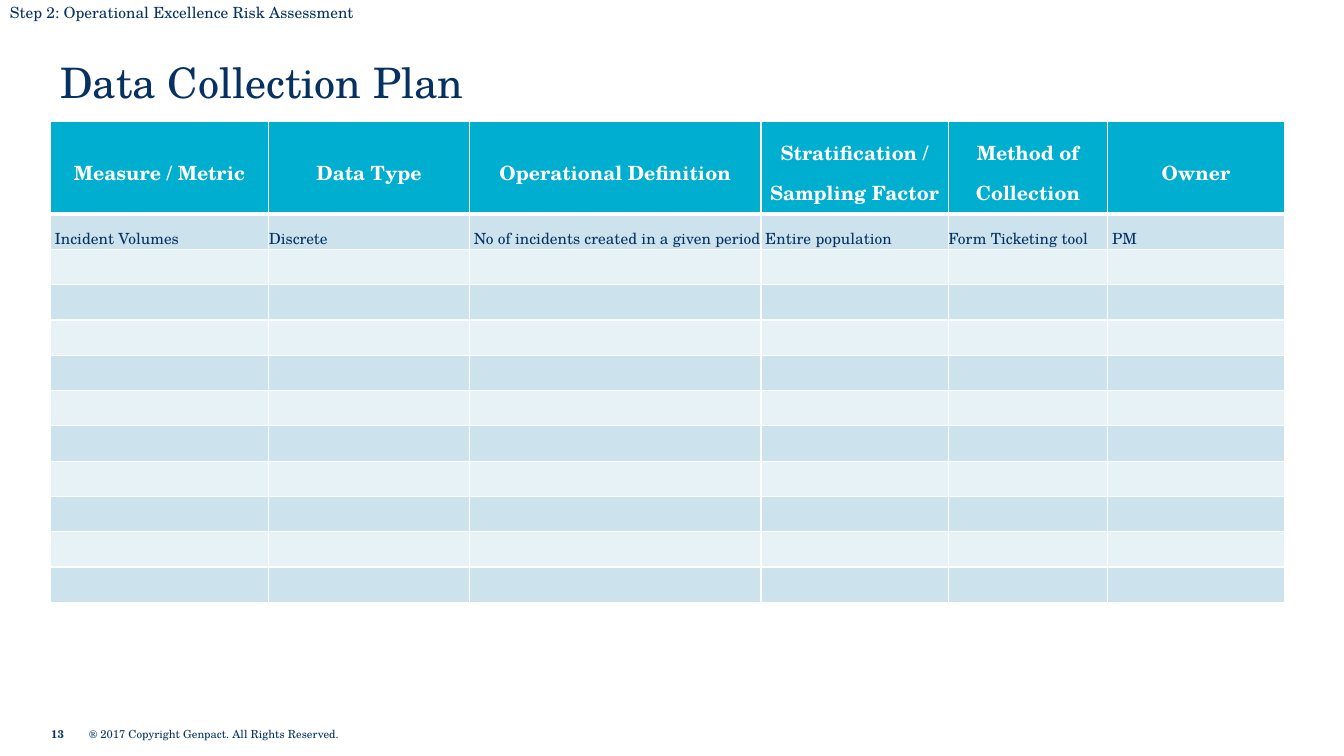
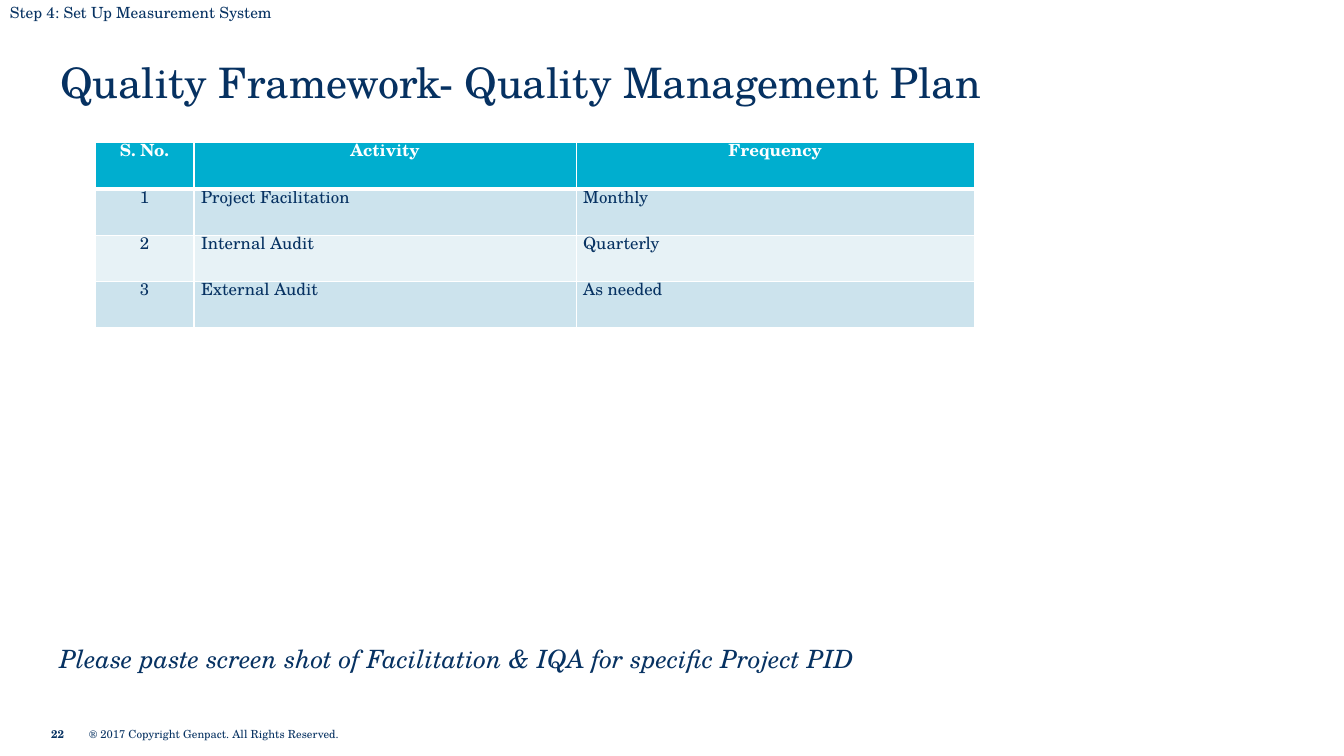
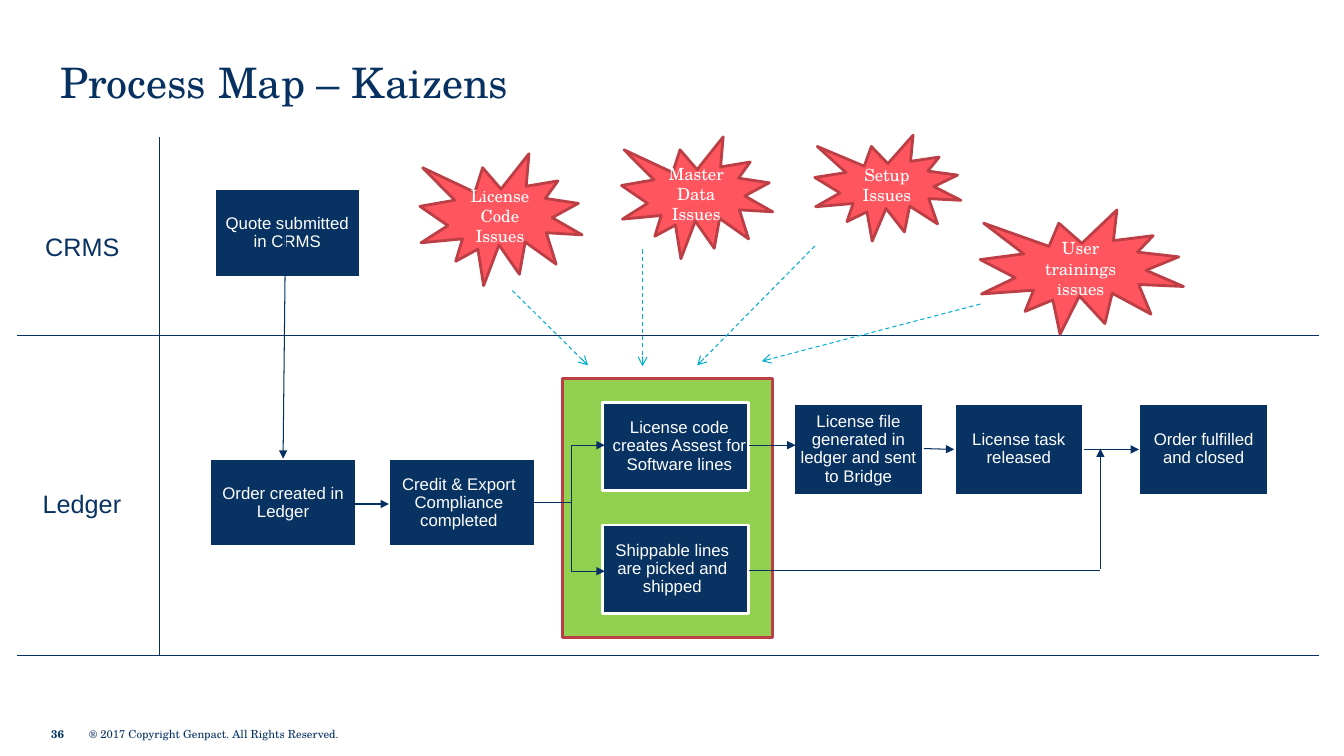
from pptx import Presentation
from pptx.dml.color import RGBColor
from pptx.enum.dml import MSO_LINE
from pptx.enum.shapes import MSO_CONNECTOR, MSO_SHAPE
from pptx.enum.text import MSO_ANCHOR, PP_ALIGN
from pptx.oxml.ns import qn
from pptx.util import Inches, Pt
from lxml.etree import SubElement

COLUMNS, ROWS = 160, 90
COLORS = {
    "title": "063161", "text": "073262", "line": "053162", "white": "FFFFFF",
    "accent": "00AECF", "band": "CCE3ED", "pale": "E7F2F6",
    "green": "92D050", "red": "FF555F", "dark red": "BD3F46",
}
SERIF, SANS = "TeX Gyre Schola", "Arial"
CENTER, LEFT = PP_ALIGN.CENTER, PP_ALIGN.LEFT
TOP, MIDDLE, BOTTOM = MSO_ANCHOR.TOP, MSO_ANCHOR.MIDDLE, MSO_ANCHOR.BOTTOM
SIDES = ("margin_left", "margin_top", "margin_right", "margin_bottom")


def color(name):
    """Return the named colour."""
    return RGBColor.from_string(COLORS[name])


def assign(target, values):
    """Set each named attribute of the target."""
    for name, value in values.items():
        setattr(target, name, value)


def margins(left, top, right, bottom):
    """Return the four margins, given in inches, as format values."""
    return dict(zip(SIDES, map(Inches, (left, top, right, bottom))))


class Deck:
    """Hold the presentation, its style and the current slide."""

    def __init__(self):
        """Create an empty widescreen presentation."""
        self.presentation = Presentation()
        assign(self.presentation, {"slide_width": Inches(40 / 3), "slide_height": Inches(7.5)})
        self.slide = None

    def x(self, columns):
        """Turn grid columns into a length."""
        return round(self.presentation.slide_width * columns / COLUMNS)

    def y(self, rows):
        """Turn grid rows into a length."""
        return round(self.presentation.slide_height * rows / ROWS)

    def area(self, left, top, width, height):
        """Turn a grid area into lengths."""
        return self.x(left), self.y(top), self.x(width), self.y(height)

    def fill_text(self, frame, text, size, ink="text", font=SERIF, layout=None, **emphasis):
        """Put one formatted paragraph into a text frame."""
        paragraph = frame.paragraphs[0]
        assign(paragraph, layout or {})
        run = paragraph.add_run()
        run.text = text
        assign(run.font, {"name": font, "size": Pt(size), **emphasis})
        run.font.color.rgb = color(ink)

    def text(self, area, text, size, frame=None, **style):
        """Add a text box."""
        box = self.slide.shapes.add_textbox(*self.area(*area))
        assign(box.text_frame, {"word_wrap": True, **(frame or {})})
        self.fill_text(box.text_frame, text, size, **style)

    def start(self, number, title, title_width=95, step=None):
        """Start a slide with its title, step label and footer."""
        self.slide = self.presentation.slides.add_slide(self.presentation.slide_layouts[6])
        footer = {"vertical_anchor": MIDDLE, **margins(0, 0, 0, 0)}
        self.text((6.1, 85.9, 4, 2.9), str(number), 8, footer, bold=True)
        self.text((10.6, 85.9, 31, 2.9), "® 2017 Copyright Genpact. All Rights Reserved.", 8, footer)
        self.text((6, 6.2, title_width, 7), title, 30, {"vertical_anchor": MIDDLE}, ink="title")
        if step:
            self.text((0, -0.2, 65.3, 3.5), step, 11)

    def shape(self, kind, area, fill, line):
        """Add a filled and outlined preset shape."""
        shape = self.slide.shapes.add_shape(kind, *self.area(*area))
        shape.shadow.inherit = False
        shape.fill.solid()
        shape.fill.fore_color.rgb = color(fill)
        shape.line.color.rgb = color(line)
        shape.line.width = Pt(2)
        return shape

    def node(self, area, text, shift=0):
        """Add a process step, its text shifted sideways by some inches."""
        frame = self.shape(MSO_SHAPE.RECTANGLE, area, "text", "white").text_frame
        inset = margins(0.05 + shift, 0.05, 0.05 - shift, 0.05)
        assign(frame, {"word_wrap": True, "vertical_anchor": MIDDLE, **inset})
        self.fill_text(frame, text, 12, "white", SANS, {"alignment": CENTER, "line_spacing": 0.9})

    def burst(self, area, text):
        """Add an issue burst."""
        frame = self.shape(MSO_SHAPE.EXPLOSION1, area, "red", "dark red").text_frame
        assign(frame, {"word_wrap": True, "vertical_anchor": MIDDLE})
        self.fill_text(frame, text, 12, "white", layout={"alignment": CENTER})

    def line(self, x1, y1, x2, y2, head=None, ink="line", dash=None):
        """Add a straight line, with an arrowhead if one is named."""
        ends = self.x(x1), self.y(y1), self.x(x2), self.y(y2)
        connector = self.slide.shapes.add_connector(MSO_CONNECTOR.STRAIGHT, *ends)
        connector.line.color.rgb = color(ink)
        assign(connector.line, {"width": Pt(0.75), "dash_style": dash})
        properties = connector._element.spPr
        if head:
            SubElement(properties.find(qn("a:ln")), qn("a:tailEnd"), type=head)
        SubElement(properties, qn("a:effectLst"))

    def border(self, cell, row):
        """Draw white cell borders, thicker below the header."""
        for side in ("L", "R", "T", "B"):
            thick = (row, side) in ((0, "B"), (1, "T"))
            line = SubElement(cell._tc.get_or_add_tcPr(), qn(f"a:ln{side}"), w=str(Pt(3 if thick else 1)))
            SubElement(SubElement(line, qn("a:solidFill")), qn("a:srgbClr"), val=COLORS["white"])

    def table(self, origin, widths, heights, rows, header, body, inset, centered=()):
        """Add a banded table, with size, anchor and spacing for header and body."""
        area = self.area(*origin, sum(widths), sum(heights))
        table = self.slide.shapes.add_table(len(heights), len(widths), *area).table
        for column, width in zip(table.columns, widths):
            column.width = self.x(width)
        for index, height in enumerate(heights):
            table.rows[index].height = self.y(height)
            size, anchor, spacing = body if index else header
            fill = ("pale", "band")[index % 2] if index else "accent"
            for position, cell in enumerate(table.rows[index].cells):
                assign(cell, {"vertical_anchor": anchor, **inset})
                self.border(cell, index)
                cell.fill.solid()
                cell.fill.fore_color.rgb = color(fill)
                if index < len(rows):
                    middle = index == 0 or position in centered
                    layout = {"alignment": CENTER if middle else LEFT, "line_spacing": spacing}
                    self.fill_text(cell.text_frame, rows[index][position], size,
                                   "text" if index else "white", layout=layout, bold=index == 0)


def collection_plan(deck):
    """Build the data collection plan."""
    deck.start(13, "Data Collection Plan", step="Step 2: Operational Excellence Risk Assessment")
    rows = [
        ("Measure / Metric", "Data Type", "Operational Definition",
         "Stratification / Sampling Factor", "Method of Collection", "Owner"),
        (" Incident Volumes", "Discrete", " No of incidents created in a given period",
         " Entire population", "Form Ticketing tool", " PM"),
    ]
    deck.table((6, 14.5), (26, 23.9, 34.7, 22.3, 19, 21), [11] + [4.2] * 11, rows,
               (14, MIDDLE, 1.3), (11, BOTTOM, 1.25), margins(0, 0, 0, 0))


def quality_plan(deck):
    """Build the quality management plan."""
    deck.start(22, "Quality Framework- Quality Management Plan", 117,
               "Step 4: Set Up Measurement System")
    deck.text((5.9, 76, 144, 4.8),
              "Please paste screen shot of Facilitation & IQA for specific Project PID", 18, italic=True)
    rows = [
        ("S. No.", "Activity", "Frequency"),
        ("1", "Project Facilitation", "Monthly"),
        ("2", "Internal Audit", "Quarterly"),
        ("3", "External Audit", "As needed"),
    ]
    style = (12, TOP, Pt(14))
    deck.table((11.3, 17), (11.8, 45.5, 47.4), [5.5] * 4, rows, style, style,
               margins(0.07, 0, 0.07, 0), centered=(0,))


def process_map(deck):
    """Build the process map with its issues."""
    deck.start(36, "Process Map – Kaizens")
    deck.shape(MSO_SHAPE.RECTANGLE, (67, 45.1, 25, 30.8), "green", "dark red")
    large, small = (17.4, 10.5), (15.4, 11)
    nodes = [
        (25.5, 22.5, large, "Quote submitted in CRMS", 0),
        (25, 54.6, large, "Order created in Ledger", 0),
        (46.3, 54.6, large, "Credit & Export Compliance completed", -0.03),
        (71.7, 47.9, large, "License code creates Assest for Software lines", 0.04),
        (71.7, 62.5, large, "Shippable lines are picked and shipped", -0.03),
        (94.5, 48, small, "License file generated in ledger and sent to Bridge", 0),
        (113.6, 48, small, "License task released", 0),
        (135.6, 48, small, "Order fulfilled and closed", 0),
    ]
    for left, top, size, text, shift in nodes:
        deck.node((left, top, *size), text, shift)
    for left, top, lane in ((4.2, 26.9, "CRMS"), (3.9, 57.5, "Ledger")):
        deck.text((left, top, 14, 4.8), lane, 18, font=SANS)
    plain_lines = [
        (19, 16.3, 19, 78), (2, 40, 157, 40), (2, 78, 157, 78),
        (68, 53, 68, 68), (63.3, 59.8, 68, 59.8), (89.2, 67.9, 131, 67.9),
    ]
    flow_arrows = [
        (34, 27, 33.7, 54.6), (40.5, 60, 46.3, 60), (89.2, 53, 94.7, 53),
        (110, 53.4, 113.6, 53.5), (68, 53, 72, 53), (68, 68, 72, 68),
        (129, 53.5, 135.6, 53.5), (131, 67.7, 131, 53.4),
    ]
    issue_arrows = [
        (61, 34.6, 70, 43.5), (76.5, 29.7, 76.5, 43.6),
        (97, 29.3, 83, 43.5), (116.7, 36.2, 90.7, 43),
    ]
    for ends in plain_lines:
        deck.line(*ends)
    for ends in flow_arrows:
        deck.line(*ends, head="triangle")
    for ends in issue_arrows:
        deck.line(*ends, head="arrow", ink="accent", dash=MSO_LINE.DASH)
    bursts = [
        ((116.7, 25, 24.2, 14.8), "User trainings issues"),
        ((97, 16.1, 17.4, 12.6), "Setup Issues"),
        ((74, 16.3, 18, 14.5), "Master Data Issues"),
        ((50, 18.3, 19.3, 15.7), "License Code Issues"),
    ]
    for area, text in bursts:
        deck.burst(area, text)


def main():
    """Build and save the presentation."""
    deck = Deck()
    for build in (collection_plan, quality_plan, process_map):
        build(deck)
    deck.presentation.save("out.pptx")


if __name__ == "__main__":
    main()
